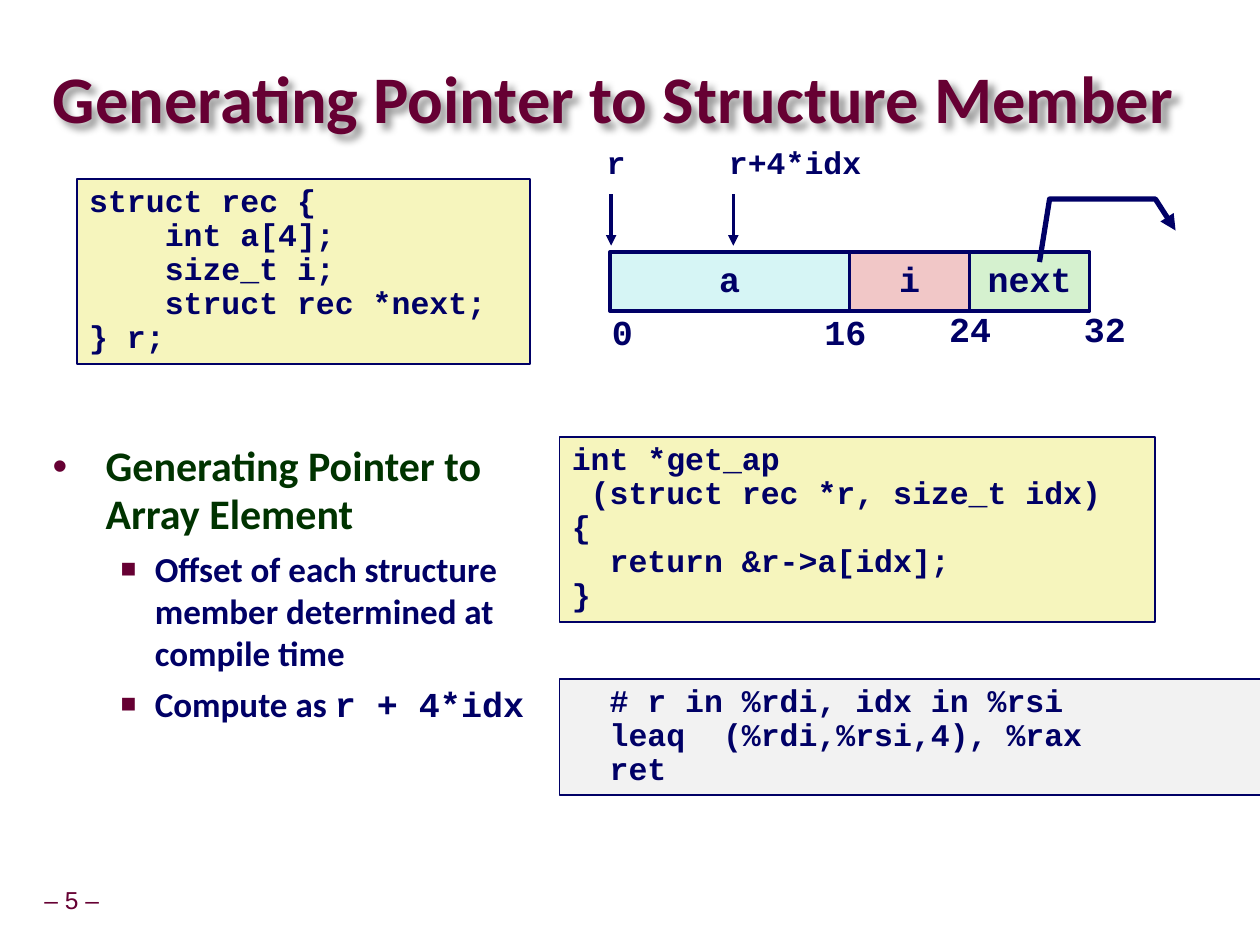
import pptx
import pptx.util
import pptx.dml.color
import pptx.enum.shapes
import pptx.enum.text
import pptx.oxml
from pptx.oxml.ns import nsdecls, qn

Inches, Pt = pptx.util.Inches, pptx.util.Pt
ALIGN = pptx.enum.text.PP_ALIGN
ANCHOR = pptx.enum.text.MSO_ANCHOR
MONO, SANS = "Courier New", "Calibri"
COLORS = {"navy": "000066", "wine": "660033", "green": "003300",
          "cream": "F6F5BD", "gray": "F2F2F2", "cyan": "D6F5F5",
          "pink": "F1C7C7", "mint": "D5F1CF"}

TITLE = "Generating Pointer to Structure Member"
# Each code box: place, fill, lines
CODE = [
    ((4.44, 5.39, 5.57, 0.92), "gray",
     ["  # r in %rdi, idx in %rsi",
      "  leaq  (%rdi,%rsi,4), %rax",
      "  ret"]),
    ((4.44, 3.47, 4.73, 1.47), "cream",
     ["int *get_ap",
      " (struct rec *r, size_t idx)",
      "{",
      "  return &r->a[idx];",
      "}"]),
    ((0.61, 1.42, 3.6, 1.47), "cream",
     ["struct rec {",
      "    int a[4];",
      "    size_t i;",
      "    struct rec *next;",
      "} r;"]),
]
# Each bullet: level, runs of (text, font)
BULLETS = [
    (0, [("Generating Pointer to Array Element", SANS)]),
    (1, [("Offset of each structure member determined at compile time", SANS)]),
    (1, [("Compute as ", SANS), ("r + 4*idx", MONO)]),
]
LEVELS = [
    dict(mark="•", scale=100, left=0.42, hang=0.42, size=24, color="green",
         space=0.95, before=0),
    dict(mark="■", scale=75, left=0.81, hang=0.27, size=20, color="navy",
         space=1, before=5),
]
# Memory layout: name, bytes, fill
FIELDS = [("a", 16, "cyan"), ("i", 8, "pink"), ("next", 8, "mint")]
BASE, TOP, TALL, BYTE = 4.84, 2, 0.47, 0.119
# Offset label: text, middle, top
OFFSETS = [("0", 4.94, 2.45), ("16", 6.71, 2.45),
           ("24", 7.7, 2.43), ("32", 8.77, 2.43)]
# Pointer: text, text middle, arrow x
POINTERS = [("r+4*idx", 6.31, 5.82), ("r", 4.89, 4.85)]
NEXT_PATH = [(8.25, 2.08), (8.33, 1.58), (9.17, 1.58), (9.33, 1.83)]


def rgb(name):
    return pptx.dml.color.RGBColor.from_string(COLORS[name])


def add_xml(parent, tag, inner=""):
    node = pptx.oxml.parse_xml(f"<a:{tag} {nsdecls('a')}>{inner}</a:{tag.split()[0]}>")
    parent.append(node)


def style(font, face, size, color, bold=True):
    font.name, font.size, font.bold = face, Pt(size), bold
    font.color.rgb = rgb(color)


def write(frame, lines, face=MONO, size=18, color="navy", bold=True,
          align=ALIGN.LEFT, anchor=ANCHOR.TOP, wrap=False, space=0.9,
          pad=(0.1, 0.05)):
    frame.word_wrap, frame.vertical_anchor = wrap, anchor
    frame.auto_size = pptx.enum.text.MSO_AUTO_SIZE.NONE
    frame.margin_left = frame.margin_right = Inches(pad[0])
    frame.margin_top = frame.margin_bottom = Inches(pad[1])
    for n, line in enumerate(lines):
        para = frame.add_paragraph() if n else frame.paragraphs[0]
        para.alignment, para.line_spacing = align, space
        run = para.add_run()
        run.text = line
        style(run.font, face, size, color, bold)


def add_text(slide, place, lines, **form):
    box = slide.shapes.add_textbox(*map(Inches, place))
    write(box.text_frame, lines, **form)


def add_box(slide, place, fill, width, lines, **form):
    kind = pptx.enum.shapes.MSO_SHAPE.RECTANGLE
    box = slide.shapes.add_shape(kind, *map(Inches, place))
    box.shadow.inherit = False
    box.fill.solid()
    box.fill.fore_color.rgb = rgb(fill)
    box.line.color.rgb, box.line.width = rgb("navy"), Pt(width)
    write(box.text_frame, lines, **form)


def add_head(shape, width):
    """Style a line and put an arrowhead at its end."""
    shape.line.color.rgb, shape.line.width = rgb("navy"), Pt(width)
    add_xml(shape.line._get_or_add_ln(), 'tailEnd type="triangle"')


def add_title(slide):
    title = slide.shapes.title
    title.left, title.top, title.width, title.height = map(
        Inches, (0.42, 0.5, 9.08, 0.63))
    write(title.text_frame, [TITLE], face=SANS, size=38, color="wine",
          anchor=ANCHOR.MIDDLE, wrap=True, space=0.87, pad=(0, 0))
    add_xml(title._element.spPr, "effectLst",
            '<a:outerShdw blurRad="50800" dist="50800" dir="2700000">'
            '<a:srgbClr val="000000"><a:alpha val="40000"/></a:srgbClr>'
            '</a:outerShdw>')


def add_bullets(slide):
    box = slide.shapes.add_textbox(*map(Inches, (0.32, 3.47, 4.29, 3.13)))
    frame = box.text_frame
    frame.word_wrap = True
    for n, (level, runs) in enumerate(BULLETS):
        look = LEVELS[level]
        para = frame.add_paragraph() if n else frame.paragraphs[0]
        para.level, para.line_spacing = level, look["space"]
        para.space_before = Pt(look["before"])
        props = para._p.get_or_add_pPr()
        props.set("marL", str(Inches(look["left"])))
        props.set("indent", str(-Inches(look["hang"])))
        add_xml(props, "buClr", f'<a:srgbClr val="{COLORS["wine"]}"/>')
        add_xml(props, f'buSzPct val="{look["scale"] * 1000}"')
        add_xml(props, 'buFont typeface="Arial"')
        add_xml(props, f'buChar char="{look["mark"]}"')
        for text, face in runs:
            run = para.add_run()
            run.text = text
            style(run.font, face, look["size"], look["color"])


def add_memory(slide):
    left = BASE
    for name, count, fill in FIELDS:
        width = count * BYTE
        add_box(slide, (left, TOP, width, TALL), fill, 2, [name], size=20,
                align=ALIGN.CENTER, anchor=ANCHOR.MIDDLE)
        left += width
    for text, mid, top in OFFSETS:
        add_text(slide, (mid - 0.27, top, 0.54, 0.43), [text], size=20,
                 align=ALIGN.CENTER)
    for text, mid, spot in POINTERS:
        add_text(slide, (mid - 0.81, 1.12, 1.62, 0.5), [text],
                 align=ALIGN.CENTER)
        arrow = slide.shapes.add_connector(
            pptx.enum.shapes.MSO_CONNECTOR.STRAIGHT,
            *map(Inches, (spot, 1.54, spot, 1.95)))
        add_head(arrow, 2)
        add_xml(arrow._element.find(qn("p:spPr")), "effectLst")
    points = [(Inches(x), Inches(y)) for x, y in NEXT_PATH]
    build = slide.shapes.build_freeform(*points[0])
    build.add_line_segments(points[1:], close=False)
    path = build.convert_to_shape()
    path.shadow.inherit = False
    path.fill.background()
    add_head(path, 3)


def main():
    deck = pptx.Presentation()
    deck.slide_width, deck.slide_height = Inches(10), Inches(7.5)
    slide = deck.slides.add_slide(deck.slide_layouts[5])
    add_title(slide)
    add_text(slide, (0.24, 7, 0.66, 0.31), ["– 5 –"], face="Arial", size=14,
             color="wine", bold=False, align=ALIGN.CENTER,
             anchor=ANCHOR.MIDDLE, pad=(0.05, 0.05))
    for place, fill, lines in CODE:
        add_box(slide, place, fill, 1, lines, wrap=True)
    add_bullets(slide)
    add_memory(slide)
    deck.save("out.pptx")


if __name__ == "__main__":
    main()
